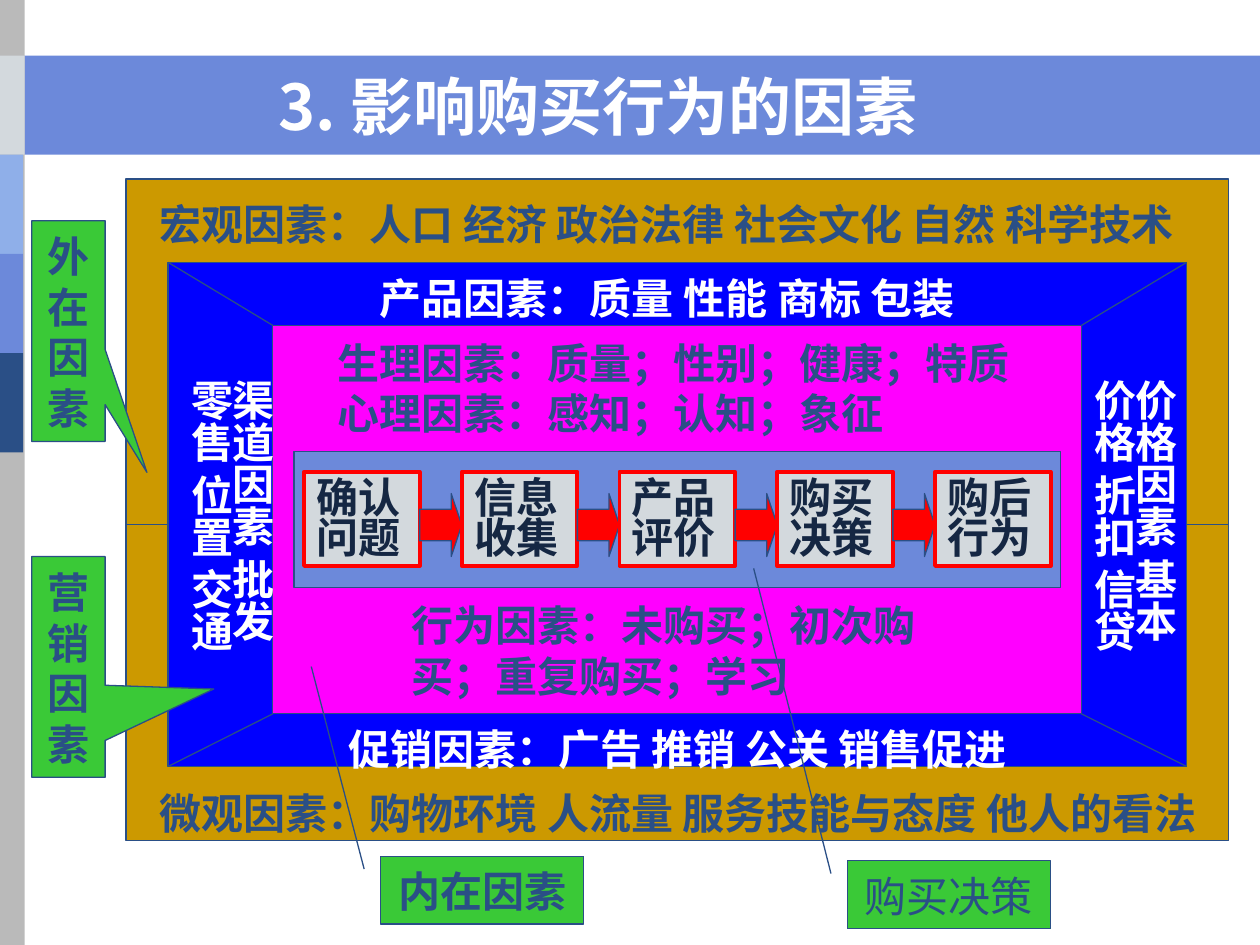
from dataclasses import dataclass

from lxml.etree import SubElement
from pptx import Presentation
from pptx.dml.color import RGBColor
from pptx.enum.shapes import MSO_CONNECTOR, MSO_SHAPE
from pptx.enum.text import MSO_ANCHOR, MSO_AUTO_SIZE, PP_ALIGN
from pptx.oxml.ns import qn
from pptx.util import Cm, Pt

COLOURS = {
    "white": "FFFFFF", "navy": "2A4F86", "ink": "152743", "blue": "6C89DA",
    "sky": "8FAFE9", "pale": "D3D9DD", "grey": "BABABA", "ochre": "CC9900",
    "royal": "0000FF", "magenta": "FF00FF", "red": "FF0000", "green": "3AC937",
}
BODY_FONT = "Times New Roman"
CHINESE_FONT = "Noto Sans CJK SC"
NORMAL_LINE, TIGHT_LINE = Pt(29), Pt(23.2)


@dataclass
class Area:
    """Left, top, width and height in centimetres."""
    left: float
    top: float
    width: float
    height: float

    def lengths(self) -> list:
        return [Cm(n) for n in (self.left, self.top, self.width, self.height)]


@dataclass
class Label:
    text: str
    area: Area
    colour: str = "navy"
    vertical: bool = False


@dataclass
class Callout:
    text: str
    kind: MSO_SHAPE
    area: Area
    adjustments: tuple
    bold: bool = True


def colour(name: str) -> RGBColor:
    return RGBColor.from_string(COLOURS[name])


def write(shape, text: str, ink: str, size: int = 24, bold: bool = True,
          font: str = BODY_FONT, align=PP_ALIGN.LEFT, spacing=NORMAL_LINE,
          anchor=MSO_ANCHOR.TOP, vertical: bool = False) -> None:
    frame = shape.text_frame
    side, top, bottom = (0.13, 0.25, 0.25) if vertical else (0.25, 0.19, 0.13)
    frame_format = {
        "word_wrap": True, "vertical_anchor": anchor,
        "margin_left": Cm(side), "margin_right": Cm(side),
        "margin_top": Cm(top), "margin_bottom": Cm(bottom),
    }
    for key, value in frame_format.items():
        setattr(frame, key, value)
    if vertical:
        frame.auto_size = MSO_AUTO_SIZE.SHAPE_TO_FIT_TEXT
        frame._txBody.bodyPr.set("vert", "eaVert")
    para = frame.paragraphs[0]
    para.alignment, para.line_spacing = align, spacing
    # Punctuation stays inside the margins
    para._p.get_or_add_pPr().set("hangingPunct", "0")
    span = para.add_run()
    span.text = text
    span_format = {"name": font, "size": Pt(size), "bold": bold}
    for key, value in span_format.items():
        setattr(span.font, key, value)
    span.font.color.rgb = colour(ink)
    SubElement(span.font._element, qn("a:ea"), typeface=CHINESE_FONT)


def draw_shape(page, area: Area, fill: str, line: str | None = "navy",
               width: float = 0.75, kind=MSO_SHAPE.RECTANGLE, adjustments=()):
    shape = page.shapes.add_shape(kind, *area.lengths())
    shape.shadow.inherit = False
    shape.fill.solid()
    shape.fill.fore_color.rgb = colour(fill)
    if line:
        shape.line.color.rgb = colour(line)
        shape.line.width = Pt(width)
    else:
        shape.line.fill.background()
    for index, value in enumerate(adjustments):
        shape.adjustments[index] = value
    return shape


def draw_line(page, *ends: float) -> None:
    line = page.shapes.add_connector(MSO_CONNECTOR.STRAIGHT, *map(Cm, ends))
    line.line.color.rgb = colour("navy")
    line.line.width = Pt(0.75)
    SubElement(line._element.spPr, qn("a:effectLst"))


def draw_label(page, label: Label) -> None:
    box = page.shapes.add_textbox(*label.area.lengths())
    write(box, label.text, label.colour, vertical=label.vertical,
          spacing=TIGHT_LINE if label.vertical else NORMAL_LINE)


def draw_callout(page, callout: Callout) -> None:
    shape = draw_shape(page, callout.area, "green", kind=callout.kind,
                       adjustments=callout.adjustments)
    write(shape, callout.text, "navy", bold=callout.bold, align=PP_ALIGN.CENTER)


OUTER = Area(2.54, 3.61, 22.23, 13.34)
MARKETING = Area(3.39, 5.29, 20.53, 10.16)
INNER = Area(5.5, 6.56, 16.3, 7.83)
PROCESS = Area(5.93, 9.1, 15.45, 2.75)

STEPS = ["确认问题", "信息收集", "产品评价", "购买决策", "购后行为"]
STEP_LEFT, STEP_PITCH, STEP_WIDTH = 6.13, 3.18, 2.33

LABELS = [
    Label("宏观因素：人口 经济 政治法律 社会文化 自然 科学技术",
          Area(2.97, 3.81, 21.59, 1.27)),
    Label("微观因素：购物环境 人流量 服务技能与态度 他人的看法",
          Area(2.97, 15.67, 21.59, 1.27)),
    Label("生理因素：质量；性别；健康；特质心理因素：感知；认知；象征",
          Area(6.56, 6.6, 14.18, 2.29)),
    Label("行为因素：未购买；初次购买；重复购买；学习",
          Area(8.05, 11.89, 11.85, 2.29)),
    Label("渠道因素 批发 零售 位置 交通",
          Area(3.39, 7.41, 2.13, 6.15), "white", True),
    Label("价格因素 基本价格 折扣 信贷",
          Area(21.59, 7.41, 2.13, 6.35), "white", True),
    Label("产品因素：质量 性能 商标 包装",
          Area(7.41, 5.29, 12.28, 1.27), "white"),
    Label("促销因素：广告 推销 公关 销售促进",
          Area(6.77, 14.39, 13.97, 1.27), "white"),
]

WEDGE, BORDER = MSO_SHAPE.RECTANGULAR_CALLOUT, MSO_SHAPE.LINE_CALLOUT_1
CALLOUTS = [
    Callout("外在因素", WEDGE, Area(0.64, 4.45, 1.48, 4.45), (1.07, 0.64)),
    Callout("营销因素", WEDGE, Area(0.64, 11.22, 1.48, 4.45), (1.98, 0.1)),
    Callout("内在因素", BORDER, Area(7.67, 17.26, 4.1, 1.37),
            (0.19, -0.08, -2.79, -0.34)),
    Callout("购买决策", BORDER, Area(17.08, 17.35, 4.1, 1.37),
            (0.19, -0.08, -4.3, -0.46), bold=False),
]


def main() -> None:
    deck = Presentation()
    deck.slide_width, deck.slide_height = Cm(25.4), Cm(19.05)
    page = deck.slides.add_slide(deck.slide_layouts[6])

    # Title band and side strip
    draw_shape(page, Area(0, 1.12, 25.4, 2), "blue", None)
    draw_shape(page, Area(0, 0, 0.5, 19.05), "grey", None)
    for row, fill in enumerate(["pale", "sky", "blue", "navy"]):
        width = 0.47 if row else 0.5
        draw_shape(page, Area(0, 1.12 + 2 * row, width, 2), fill, None)

    # Nested frames
    draw_shape(page, OUTER, "ochre")
    for frame, fill in [(MARKETING, "royal"), (INNER, "magenta"), (PROCESS, "blue")]:
        draw_shape(page, frame, fill)

    # Lines joining the frames: level at mid height, slanted at the corners
    for side in (0, 1):
        outer_x, middle_x, inner_x = (
            area.left + side * area.width for area in (OUTER, MARKETING, INNER))
        draw_line(page, outer_x, 10.58, middle_x, 10.58)
        for end in (0, 1):
            middle_y, inner_y = (
                area.top + end * area.height for area in (MARKETING, INNER))
            draw_line(page, middle_x, middle_y, inner_x, inner_y)

    # Decision steps with arrows between them
    for index, text in enumerate(STEPS):
        left = STEP_LEFT + index * STEP_PITCH
        step = draw_shape(page, Area(left, 9.51, STEP_WIDTH, 1.9),
                          "pale", "red", 2.25)
        write(step, text, "ink", spacing=TIGHT_LINE)
        if index < len(STEPS) - 1:
            gap = STEP_PITCH - STEP_WIDTH
            draw_shape(page, Area(left + STEP_WIDTH, 9.95, gap, 1.27), "red",
                       kind=MSO_SHAPE.RIGHT_ARROW, adjustments=(0.5, 0.25))

    # Factor texts and callouts
    for label in LABELS:
        draw_label(page, label)
    for callout in CALLOUTS:
        draw_callout(page, callout)

    # Title
    title = page.shapes.add_textbox(*Area(4.03, 1.04, 16.05, 2.11).lengths())
    write(title, "3. 影响购买行为的因素", "white", size=36, font=CHINESE_FONT,
          align=PP_ALIGN.CENTER, spacing=1.0, anchor=MSO_ANCHOR.MIDDLE)

    deck.save("out.pptx")


if __name__ == "__main__":
    main()
